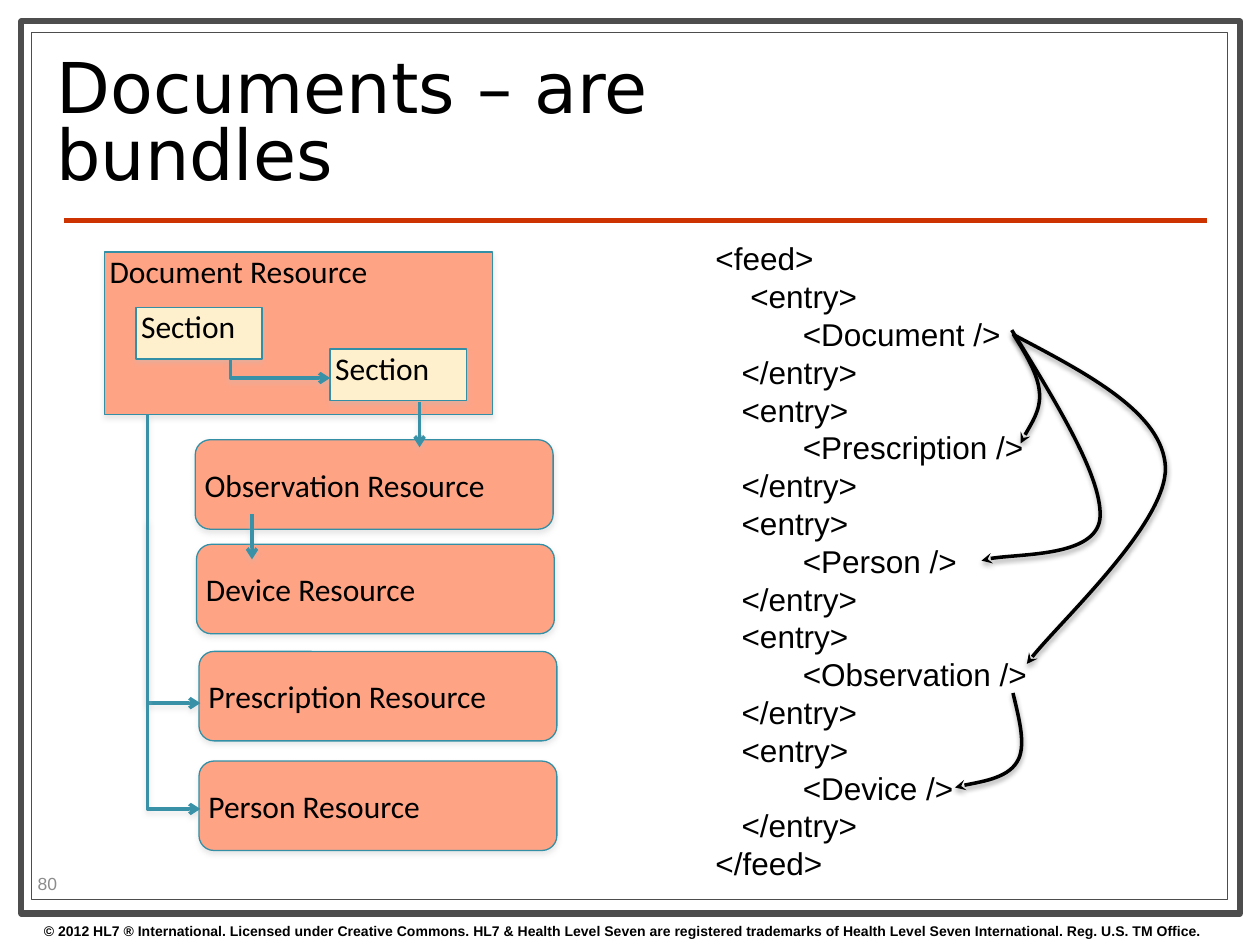
from dataclasses import dataclass

from lxml import etree
from pptx import Presentation
from pptx import util as u
from pptx.dml import color
from pptx.enum import shapes, text
from pptx.oxml import ns

CELL = u.Inches(0.1)
COLUMNS, ROWS = 100, 75


@dataclass(frozen=True)
class Theme:
    ink: str = "000000"
    paper: str = "FFFFFF"
    frame: str = "4D4D4D"
    rule: str = "CC3300"
    muted: str = "8C8C8C"
    resource: str = "FFA385"
    section: str = "FEF0CD"
    edge: str = "338FA5"
    link: str = "3891A7"
    shade: str = "C0C0C0"
    title_font: str = "DejaVu Sans"
    code_font: str = "Arial"
    label_font: str = "Calibri"
    title_size: float = 40
    body_size: float = 18
    number_size: float = 10
    footer_size: float = 8
    code_pitch: float = 21.6


THEME = Theme()


def grid(*lengths):
    return [round(length * CELL) for length in lengths]


def apply(target, formats):
    for name, value in formats.items():
        setattr(target, name, value)


def draw_line(item, hue, width, head=None, shade=None):
    item.line.color.rgb = color.RGBColor.from_string(hue)
    item.line.width = u.Pt(width)
    properties = item._element.spPr
    if head:
        outline = properties.find(ns.qn("a:ln"))
        etree.SubElement(outline, ns.qn("a:tailEnd"), type=head)
    effects = etree.SubElement(properties, ns.qn("a:effectLst"))
    if shade:
        shadow = etree.SubElement(
            effects, ns.qn("a:outerShdw"), blurRad=str(u.Pt(3)),
            dist=str(u.Pt(1.7)), dir="5400000", rotWithShape="0")
        tint = etree.SubElement(shadow, ns.qn("a:srgbClr"), val=shade)
        etree.SubElement(tint, ns.qn("a:alpha"), val="37000")


def write(item, lines, font, size, hue=THEME.ink, bold=False, frame=None, spacing=None):
    apply(item.text_frame, {"word_wrap": True, **(frame or {})})
    for index, line in enumerate(lines):
        paragraphs = item.text_frame.paragraphs
        para = item.text_frame.add_paragraph() if index else paragraphs[0]
        apply(para, {"alignment": text.PP_ALIGN.LEFT, "line_spacing": spacing})
        span = para.add_run()
        apply(span, {"text": line})
        apply(span.font, {"name": font, "size": u.Pt(size), "bold": bold})
        span.font.color.rgb = color.RGBColor.from_string(hue)


def add_text(page, place, lines, *args, **formats):
    write(page.shapes.add_textbox(*grid(*place)), lines, *args, **formats)


def add_box(page, place, fill, edge, width, label=None, rounded=False, shade=None):
    kinds = shapes.MSO_SHAPE
    kind = kinds.ROUNDED_RECTANGLE if rounded else kinds.RECTANGLE
    box = page.shapes.add_shape(kind, *grid(*place))
    box.fill.solid()
    box.fill.fore_color.rgb = color.RGBColor.from_string(fill)
    draw_line(box, edge, width, shade=shade)
    if label:
        anchor = text.MSO_ANCHOR.MIDDLE if rounded else text.MSO_ANCHOR.TOP
        write(box, [label], THEME.label_font, THEME.body_size, frame={
            "vertical_anchor": anchor, "margin_left": u.Inches(0.04),
            "margin_right": 0, "margin_top": 0, "margin_bottom": 0})


def add_straight(page, ends, hue, width, head=None, shade=None):
    line = page.shapes.add_connector(shapes.MSO_CONNECTOR.STRAIGHT, *grid(*ends))
    draw_line(line, hue, width, head, shade)


def add_route(page, points, hue, head, shade, curved=False):
    start, *rest = [grid(*point) for point in points]
    builder = page.shapes.build_freeform(*start)
    builder.add_line_segments(rest, close=False)
    route = builder.convert_to_shape()
    route.fill.background()
    if curved:
        bend_segments(route)
    draw_line(route, hue, 2, head, shade)


def bend_segments(route):
    segments = list(route._element.iter(ns.qn("a:lnTo")))
    for first in range(0, len(segments), 3):
        curve = etree.Element(ns.qn("a:cubicBezTo"))
        segments[first].addprevious(curve)
        for segment in segments[first:first + 3]:
            curve.append(segment[0])
            segment.getparent().remove(segment)


def add_frame(page):
    add_box(page, (1.7, 1.7, 96.7, 70.8), THEME.paper, THEME.frame, 3.5)
    add_box(page, (2.5, 2.6, 94.9, 68.8), THEME.paper, THEME.frame, 0.75)
    add_straight(page, (5.1, 17.5, 95.8, 17.5), THEME.rule, 3)
    middle = {"vertical_anchor": text.MSO_ANCHOR.MIDDLE}
    add_text(page, (2.5, 72.7, COLUMNS, 2.3), [
        "© 2012 HL7 ® International. Licensed under Creative Commons. "
        "HL7 & Health Level Seven are registered trademarks of "
        "Health Level Seven International. Reg. U.S. TM Office."],
        THEME.code_font, THEME.footer_size, bold=True)
    add_text(page, (3.5, 3.6, 71.7, 12.9), ["Documents – are bundles"],
             THEME.title_font, THEME.title_size, frame=middle, spacing=0.8)
    add_text(page, (2, 68.9, 7.9, 2.4), ["80"], THEME.code_font,
             THEME.number_size, THEME.muted, frame=middle)


def add_resources(page):
    boxes = [
        ((8.3, 20, 30.8, 12.9), THEME.resource, "Document Resource"),
        ((10.8, 24.4, 10, 4.1), THEME.section, "Section"),
        ((26.2, 27.7, 10.8, 4.1), THEME.section, "Section"),
    ]
    for place, fill, label in boxes:
        add_box(page, place, fill, THEME.edge, 0.75, label, shade=THEME.shade)
    resources = [("Observation", 15.5, 34.9), ("Device", 15.6, 43.2),
                 ("Prescription", 15.8, 51.7), ("Person", 15.8, 60.4)]
    for name, left, top in resources:
        add_box(page, (left, top, 28.4, 7.1), THEME.resource, THEME.edge, 0.75,
                f"{name} Resource", rounded=True, shade=THEME.shade)
    routes = [[(18.3, 28.5), (18.3, 30), (26.2, 30)]]
    routes += [[(11.7, top), (11.7, top + 22.9), (15.9, top + 22.9)]
               for top in (32.9, 41.3)]
    for points in routes:
        add_route(page, points, THEME.link, "arrow", THEME.shade)
    for column, top in ((33.3, 31.9), (20, 40.8)):
        add_straight(page, (column, top, column, top + 3.6),
                     THEME.link, 2, "arrow", THEME.shade)


def add_feed(page):
    lines = ["<feed>"]
    names = ["Document", "Prescription", "Person", "Observation", "Device"]
    for index, name in enumerate(names):
        indent = " " * (3 if index else 4)
        lines += [f"{indent}<entry>", f"{' ' * 10}<{name} />", "   </entry>"]
    lines.append("</feed>")
    add_text(page, (55.8, 18.5, 27, 52.5), lines, THEME.code_font,
             THEME.body_size, frame={"word_wrap": False},
             spacing=u.Pt(THEME.code_pitch))
    references = [
        [(80.4, 26.5), (81.4, 28.1), (82.4, 29.7), (82.5, 31.2),
         (82.6, 32.6), (81.3, 34.5), (81, 35.2)],
        [(80.3, 26.2), (84, 32.2), (87.6, 38.1), (87.3, 41.2),
         (86.9, 44.2), (79.5, 43.9), (77.9, 44.5)],
        [(80.5, 26.6), (86.4, 29.7), (92.3, 32.8), (92.5, 37.1),
         (92.6, 41.5), (83.2, 50.2), (81.5, 52.7)],
        [(80.4, 55), (80.9, 57.1), (81.5, 59.3), (80.7, 60.5),
         (79.9, 61.8), (76.4, 62.3), (75.8, 62.5)],
    ]
    for points in references:
        add_route(page, points, THEME.ink, "stealth", THEME.ink, curved=True)


def main():
    deck = Presentation()
    apply(deck, {"slide_width": COLUMNS * CELL, "slide_height": ROWS * CELL})
    page = deck.slides.add_slide(deck.slide_layouts[6])
    add_frame(page)
    add_resources(page)
    add_feed(page)
    deck.save("out.pptx")


if __name__ == "__main__":
    main()
